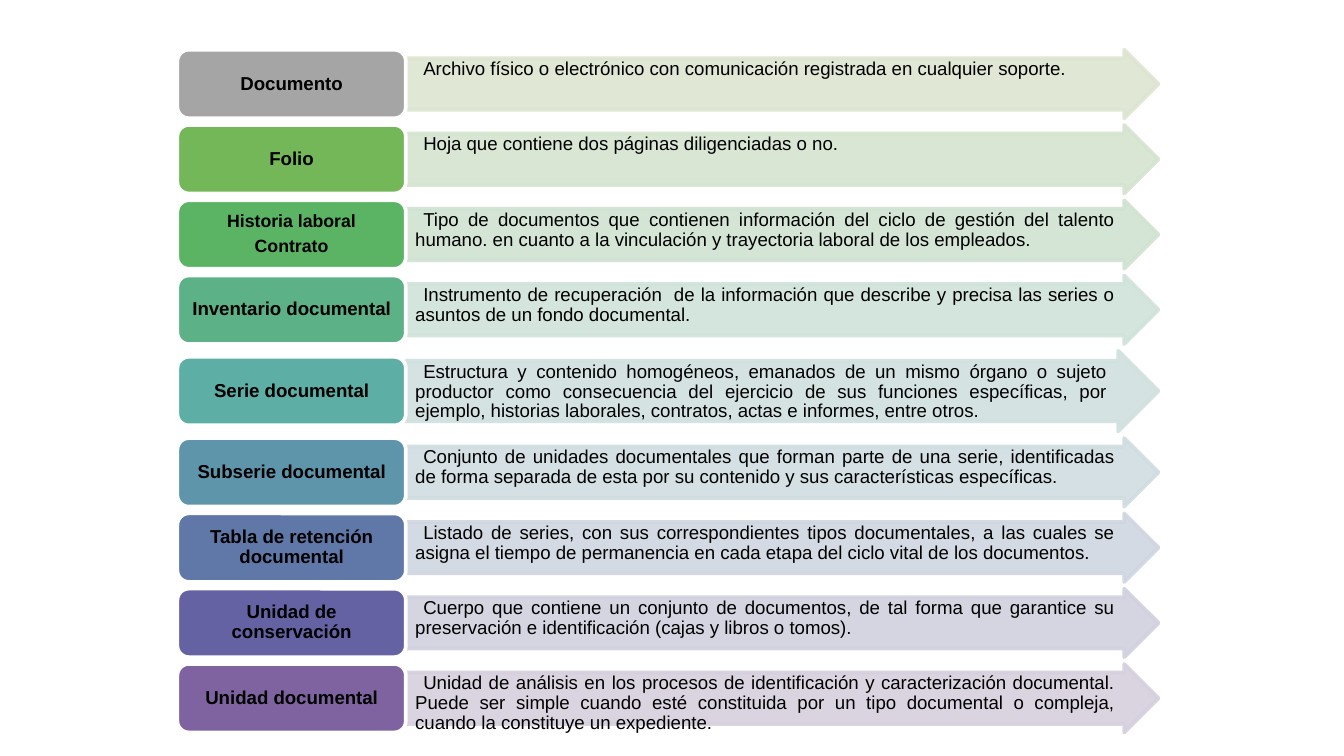
from dataclasses import dataclass

import pptx
import pptx.dml.color
import pptx.enum.shapes
import pptx.enum.text
import pptx.oxml.ns
import pptx.util
from lxml import etree

Inches, Pt = pptx.util.Inches, pptx.util.Pt
RGBColor = pptx.dml.color.RGBColor
Shape = pptx.enum.shapes.MSO_SHAPE
Align = pptx.enum.text.PP_ALIGN
Anchor = pptx.enum.text.MSO_ANCHOR

COLORS = {
    "text": "000000", "border": "FFFFFF",
    "gray": "A5A5A5", "gray_pale": "DDE5D0",
    "lime": "73B759", "lime_pale": "D4E4CF",
    "green": "5AB463", "green_pale": "D0E3D2",
    "mint": "5CB186", "mint_pale": "CFE3D9",
    "teal": "5DAEA5", "teal_pale": "D0E1DF",
    "cyan": "5F95AA", "cyan_pale": "D0DDE0",
    "blue": "6078A8", "blue_pale": "D0D6E0",
    "indigo": "6562A4", "indigo_pale": "D1D1DF",
    "violet": "7F63A1", "violet_pale": "D6D0DE",
}
SLIDE_WIDTH = 10
TERM_LEFT, TERM_WIDTH, TERM_HEIGHT = 1.32, 1.7, 0.51
ARROW_LEFT, ARROW_WIDTH = TERM_LEFT + TERM_WIDTH, 5.6
FIRST_TOP, GAP = 0.37, 0.05


@dataclass
class Entry:
    term: str
    definition: str
    color: str
    align: Align = Align.JUSTIFY
    height: float = TERM_HEIGHT
    term_size: float = 10


ENTRIES = [
    Entry("Documento",
          "Archivo físico o electrónico con comunicación registrada en cualquier soporte.",
          "gray", Align.LEFT),
    Entry("Folio", "Hoja que contiene dos páginas diligenciadas o no.",
          "lime", Align.LEFT),
    Entry("Historia laboral\nContrato",
          "Tipo de documentos que contienen información del ciclo de gestión del talento "
          "humano. en cuanto a la vinculación y trayectoria laboral de los empleados.",
          "green", term_size=9.5),
    Entry("Inventario documental",
          "Instrumento de recuperación  de la información que describe y precisa las series "
          "o asuntos de un fondo documental.", "mint"),
    Entry("Serie documental",
          "Estructura y contenido homogéneos, emanados de un mismo órgano o sujeto productor "
          "como consecuencia del ejercicio de sus funciones específicas, por ejemplo, "
          "historias laborales, contratos, actas e informes, entre otros.",
          "teal", height=0.6),
    Entry("Subserie documental",
          "Conjunto de unidades documentales que forman parte de una serie, identificadas de "
          "forma separada de esta por su contenido y sus características específicas.", "cyan"),
    Entry("Tabla de retención documental",
          "Listado de series, con sus correspondientes tipos documentales, a las cuales se "
          "asigna el tiempo de permanencia en cada etapa del ciclo vital de los documentos.",
          "blue"),
    Entry("Unidad de conservación",
          "Cuerpo que contiene un conjunto de documentos, de tal forma que garantice su "
          "preservación e identificación (cajas y libros o tomos).", "indigo"),
    Entry("Unidad documental",
          "Unidad de análisis en los procesos de identificación y caracterización documental. "
          "Puede ser simple cuando esté constituida por un tipo documental o compleja, cuando "
          "la constituye un expediente.", "violet"),
]


def add_block(slide, kind: Shape, box: tuple, fill: str, line: str):
    block = slide.shapes.add_shape(kind, *(Inches(value) for value in box))
    block.shadow.inherit = False
    block.fill.solid()
    block.fill.fore_color.rgb = RGBColor.from_string(COLORS[fill])
    block.line.color.rgb = RGBColor.from_string(COLORS[line])
    block.line.width = Pt(2)
    return block


def write_text(block, text: str, size: float, bold: bool, align: Align,
               anchor: Anchor, insets: tuple) -> None:
    frame = block.text_frame
    frame.text = text
    frame.word_wrap = True
    frame.vertical_anchor = anchor
    (frame.margin_left, frame.margin_top,
     frame.margin_right, frame.margin_bottom) = (Inches(inset) for inset in insets)
    for index, paragraph in enumerate(frame.paragraphs):
        paragraph.alignment = align
        paragraph.line_spacing = 0.89
        paragraph.space_before = Pt(3.3 if index else 0)
        paragraph.font.name = "Arial"
        paragraph.font.size = Pt(size)
        paragraph.font.bold = bold
        paragraph.font.color.rgb = RGBColor.from_string(COLORS["text"])


def add_definition(slide, entry: Entry, top: float) -> None:
    pale = entry.color + "_pale"
    arrow = add_block(slide, Shape.RIGHT_ARROW,
                      (ARROW_LEFT, top, ARROW_WIDTH, entry.height), pale, pale)
    arrow.adjustments[0], arrow.adjustments[1] = 0.75, 0.5
    # Fill and outline at 90 % opacity
    for color in arrow._element.spPr.iter(pptx.oxml.ns.qn("a:srgbClr")):
        etree.SubElement(color, pptx.oxml.ns.qn("a:alpha"), val="90000")
    # The right inset keeps the text clear of the arrowhead
    write_text(arrow, entry.definition, 10, False, entry.align, Anchor.TOP,
               (0.01, 0.01, 0.26 * entry.height + 0.01, 0.01))
    properties = arrow.text_frame.paragraphs[0]._p.get_or_add_pPr()
    for side in ("marL", "indent"):
        properties.set(side, str(Inches(0.06)))


def add_term(slide, entry: Entry, top: float) -> None:
    term = add_block(slide, Shape.ROUNDED_RECTANGLE,
                     (TERM_LEFT, top, TERM_WIDTH, TERM_HEIGHT), entry.color, "border")
    write_text(term, entry.term, entry.term_size, True, Align.CENTER, Anchor.MIDDLE,
               (0.06, 0.02, 0.06, 0.02))


# Widescreen page, 16:9
presentation = pptx.Presentation()
presentation.slide_width = Inches(SLIDE_WIDTH)
presentation.slide_height = Inches(SLIDE_WIDTH * 9 / 16)
glossary = presentation.slides.add_slide(presentation.slide_layouts[6])

# Each term is centred on its arrow
row_top = FIRST_TOP
for entry in ENTRIES:
    add_definition(glossary, entry, row_top)
    add_term(glossary, entry, row_top + (entry.height - TERM_HEIGHT) / 2)
    row_top += entry.height + GAP

presentation.save("out.pptx")
